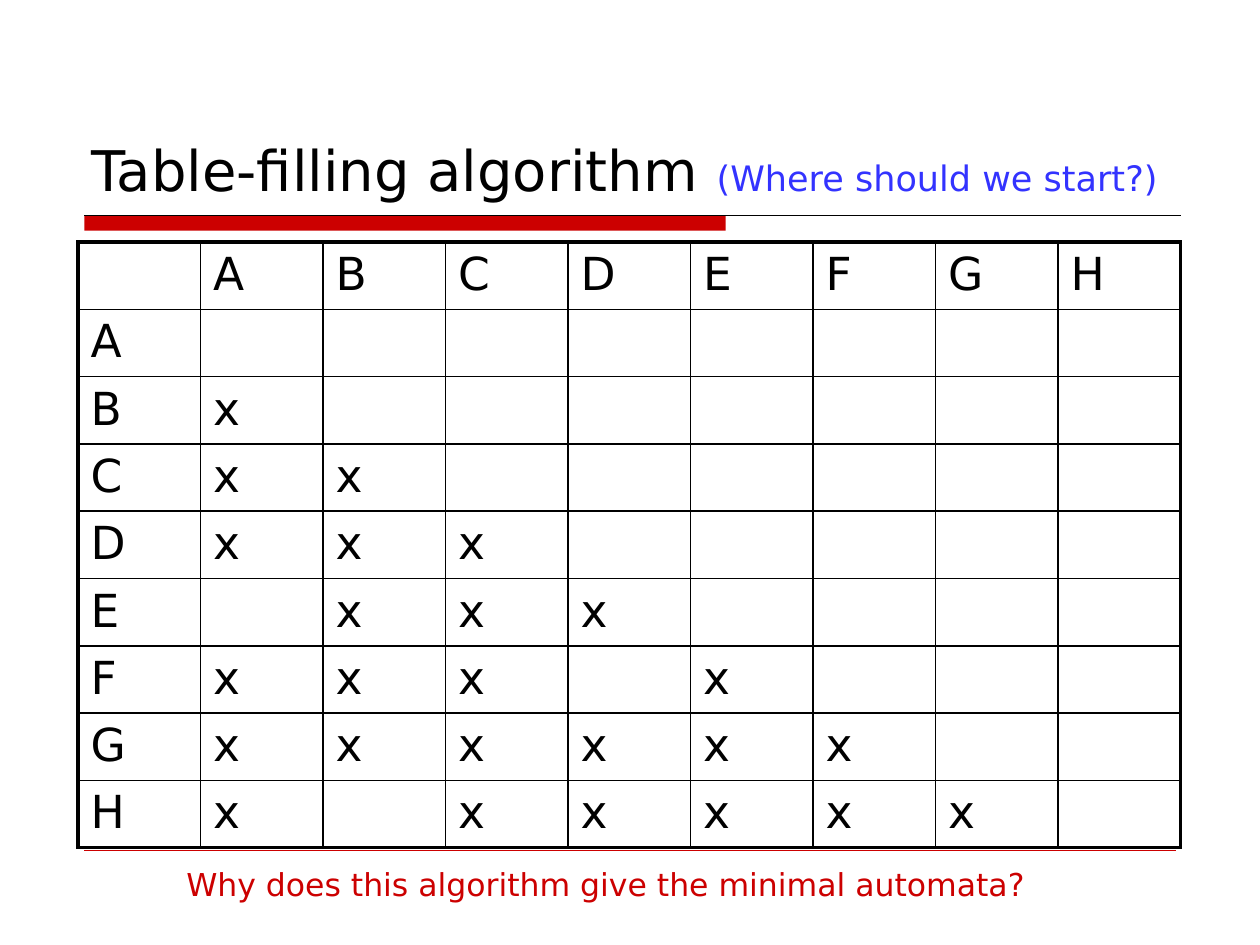
from lxml.etree import SubElement
from pptx import Presentation
from pptx.dml.color import RGBColor
from pptx.enum.shapes import MSO_CONNECTOR as CONN, MSO_SHAPE as SHAPE
from pptx.enum.text import MSO_ANCHOR as ANCHOR, MSO_AUTO_SIZE as AUTO, PP_ALIGN as ALIGN
from pptx.oxml.ns import qn
from pptx.util import Inches, Pt

BLACK = RGBColor(0x00, 0x00, 0x00)
RED = RGBColor(0xCC, 0x00, 0x00)
BLUE = RGBColor(0x33, 0x33, 0xFF)
FONT = "DejaVu Sans"

STATES = "ABCDEFGH"
# Distinguishable states marked in each row
MARKS = {"B": "A", "C": "AB", "D": "ABC", "E": "BCD",
         "F": "ABCE", "G": "ABCDEF", "H": "ACDEFG"}


class SlideBuilder:
    def __init__(self, slide, font):
        self.slide = slide
        self.font = font

    def style(self, run, size, color):
        run.font.name = self.font
        run.font.size = Pt(size)
        run.font.color.rgb = color

    def title(self, x, y, w, h, parts):
        sp = self.slide.shapes.title
        sp.left, sp.top, sp.width, sp.height = map(Inches, (x, y, w, h))
        tf = sp.text_frame
        tf.auto_size = AUTO.NONE
        tf.vertical_anchor = ANCHOR.BOTTOM
        p = tf.paragraphs[0]
        p.alignment = ALIGN.LEFT
        for text, size, color in parts:
            r = p.add_run()
            r.text = text
            self.style(r, size, color)

    def bar(self, x, y, w, h, color):
        sp = self.slide.shapes.add_shape(SHAPE.RECTANGLE, *map(Inches, (x, y, w, h)))
        sp.shadow.inherit = False
        sp.fill.solid()
        sp.fill.fore_color.rgb = color
        sp.line.fill.background()

    def rule(self, x1, x2, y, color, width):
        line = self.slide.shapes.add_connector(CONN.STRAIGHT, *map(Inches, (x1, y, x2, y)))
        line.line.color.rgb = color
        line.line.width = Pt(width)
        SubElement(line._element.spPr, qn("a:effectLst"))

    def text(self, x, y, w, h, text, size, color):
        tf = self.slide.shapes.add_textbox(*map(Inches, (x, y, w, h))).text_frame
        tf.word_wrap = False
        tf.auto_size = AUTO.SHAPE_TO_FIT_TEXT
        tf.text = text
        self.style(tf.paragraphs[0].runs[0], size, color)

    def border(self, cell, side, width, color):
        ln = SubElement(cell._tc.get_or_add_tcPr(), qn(f"a:ln{side}"), w=str(Pt(width)))
        fill = SubElement(ln, qn("a:solidFill"))
        SubElement(fill, qn("a:srgbClr"), val=str(color))

    def table(self, x, y, w, h, rows, size, color, inner=1, outer=2.25):
        n_rows, n_cols = len(rows), len(rows[0])
        table = self.slide.shapes.add_table(
            n_rows, n_cols, *map(Inches, (x, y, w, h))).table
        table.first_row = table.horz_banding = False
        for col in table.columns:
            col.width = Inches(w / n_cols)
        for row in table.rows:
            row.height = Inches(h / n_rows)
        for i, row in enumerate(rows):
            for j, text in enumerate(row):
                cell = table.cell(i, j)
                edges = {"L": j == 0, "R": j == n_cols - 1,
                         "T": i == 0, "B": i == n_rows - 1}
                for side, is_outer in edges.items():
                    self.border(cell, side, outer if is_outer else inner, color)
                cell.fill.background()
                if text:
                    cell.text = text
                    self.style(cell.text_frame.paragraphs[0].runs[0], size, color)


def main():
    prs = Presentation()
    prs.slide_width, prs.slide_height = Inches(10), Inches(7.5)
    s = SlideBuilder(prs.slides.add_slide(prs.slide_layouts[5]), FONT)

    # Title with its underline, and the footer rule
    s.bar(0.67, 1.71, 5.09, 0.12, RED)
    s.rule(0.67, 9.37, 1.71, BLACK, 0.75)
    s.rule(0.67, 9.33, 6.75, RED, 0.25)
    s.title(0.63, 0.33, 8.75, 1.33, [("Table-filling algorithm ", 32, BLACK),
                                     ("(Where should we start?)", 20, BLUE)])

    # Table of state pairs
    rows = [["", *STATES]]
    for state in STATES:
        marked = MARKS.get(state, "")
        rows.append([state] + ["x" if other in marked else "" for other in STATES])
    s.table(0.62, 1.92, 8.75, 4.81, rows, 26, BLACK)

    # Closing question
    s.text(1.38, 6.82, 6.88, 0.4,
           "Why does this algorithm give the minimal automata?", 18, RED)

    prs.save("out.pptx")


if __name__ == "__main__":
    main()
